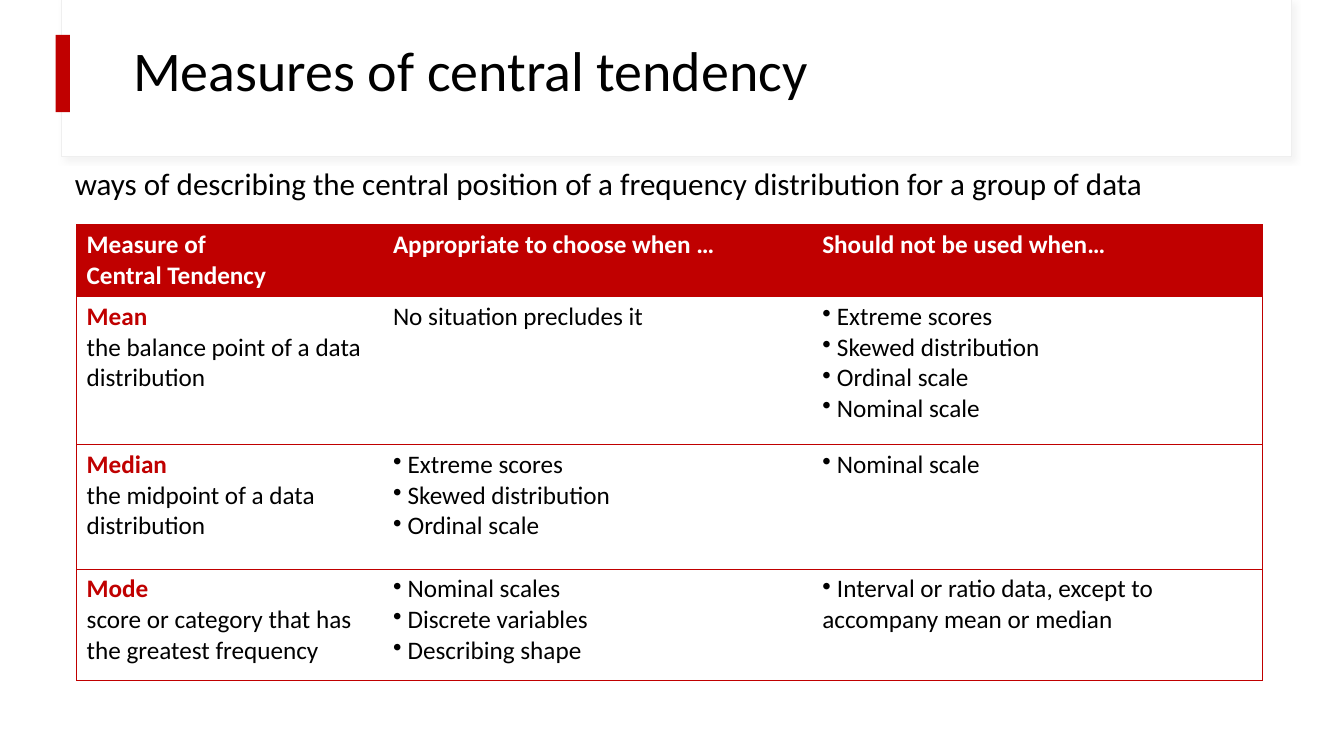
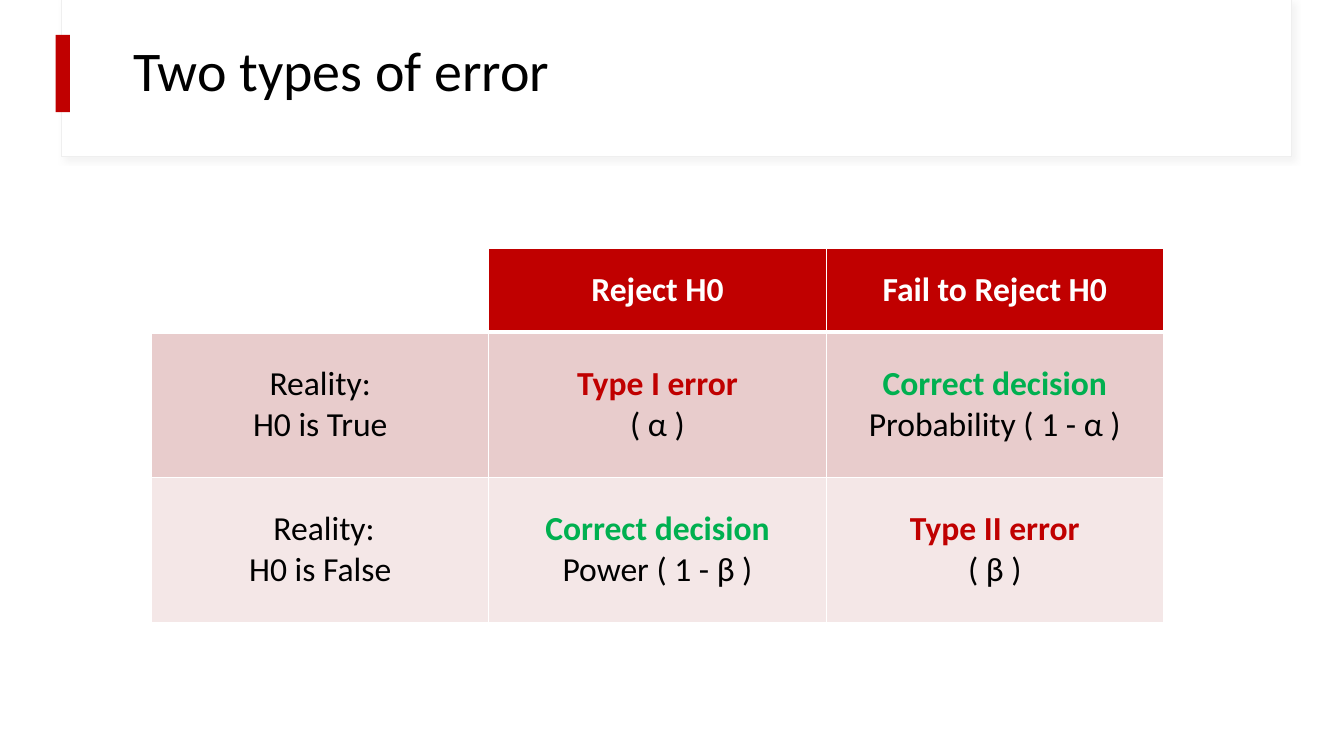
from dataclasses import dataclass

from lxml.etree import SubElement
from pptx import Presentation
from pptx.dml.color import RGBColor
from pptx.enum.shapes import MSO_SHAPE
from pptx.enum.text import MSO_ANCHOR, MSO_AUTO_SIZE, PP_ALIGN
from pptx.oxml.ns import qn
from pptx.util import Cm, Pt


@dataclass(frozen=True)
class Theme:
    font: str = "Calibri"
    black: str = "000000"
    white: str = "FFFFFF"
    red: str = "C00000"
    green: str = "00B050"
    rose: str = "E8CCCC"
    pale_rose: str = "F4E7E7"
    band_line: str = "EFEFEF"
    band_shadow: str = "D9D9D9"
    title_size: float = 40
    lead_size: float = 22.2
    list_size: float = 18
    grid_size: float = 24
    plain_table_style: str = "{2D5ABB26-0587-4C30-8999-92F81FD0307C}"


THEME = Theme()
ROLES = {
    "header": {"color": THEME.white, "bold": True},
    "plain": {"color": THEME.black, "bold": False},
    "bullet": {"color": THEME.black, "bold": False},
    "red": {"color": THEME.red, "bold": True},
    "green": {"color": THEME.green, "bold": True},
}
SIDES = {"left": "a:lnL", "right": "a:lnR", "top": "a:lnT", "bottom": "a:lnB"}


def apply_format(target, values):
    for name, value in values.items():
        setattr(target, name, value)


def add_solid_color(parent, color):
    fill = SubElement(parent, qn("a:solidFill"))
    return SubElement(fill, qn("a:srgbClr"), val=color)


class Deck:
    def __init__(self, theme):
        self.theme = theme
        self.presentation = Presentation()
        apply_format(self.presentation, {
            "slide_width": Cm(33.87), "slide_height": Cm(19.05)})
        self.slide = None

    def add_slide(self, layout_index, title):
        layout = self.presentation.slide_layouts[layout_index]
        self.slide = self.presentation.slides.add_slide(layout)
        self.fill_placeholder(
            self.slide.shapes.title, title, (3.1, 0.2, 28.24, 3.28),
            self.theme.title_size, 0.9, MSO_ANCHOR.MIDDLE)

    def fill_placeholder(self, shape, text, box, size, spacing, anchor):
        names = ("left", "top", "width", "height")
        apply_format(shape, dict(zip(names, map(Cm, box))))
        apply_format(shape.text_frame, {
            "text": text, "word_wrap": True, "vertical_anchor": anchor,
            "auto_size": MSO_AUTO_SIZE.NONE})
        paragraph = shape.text_frame.paragraphs[0]
        apply_format(paragraph, {
            "alignment": PP_ALIGN.LEFT, "line_spacing": spacing,
            "space_before": Pt(0)})
        self.set_bullet(paragraph, None)
        self.style_runs(paragraph, size, "plain")

    def add_lead(self, text):
        self.fill_placeholder(
            self.slide.placeholders[1], text, (1.63, 3.91, 30.63, 1.68),
            self.theme.lead_size, 1.1, MSO_ANCHOR.TOP)

    def set_bullet(self, paragraph, character):
        properties = paragraph._p.get_or_add_pPr()
        apply_attributes = {"marL": "0", "indent": "0"}
        properties.attrib.update(apply_attributes)
        if character:
            SubElement(properties, qn("a:buChar"), char=character)
        else:
            SubElement(properties, qn("a:buNone"))

    def style_runs(self, paragraph, size, role):
        for run in paragraph.runs:
            apply_format(run.font, {
                "name": self.theme.font, "size": Pt(size),
                "bold": ROLES[role]["bold"]})
            run.font.color.rgb = RGBColor.from_string(ROLES[role]["color"])

    def add_rectangle(self, box, fill, line=None):
        shape = self.slide.shapes.add_shape(MSO_SHAPE.RECTANGLE, *map(Cm, box))
        shape.shadow.inherit = False
        shape.fill.solid()
        shape.fill.fore_color.rgb = RGBColor.from_string(fill)
        if line:
            shape.line.color.rgb = RGBColor.from_string(line)
            shape.line.width = Pt(0.75)
        else:
            shape.line.fill.background()
        return shape

    def add_master_band(self):
        band = self.add_rectangle(
            (1.55, 0, 31.01, 3.94), self.theme.white, self.theme.band_line)
        effects = band._element.spPr.find(qn("a:effectLst"))
        shadow = SubElement(
            effects, qn("a:outerShdw"), blurRad=str(Pt(4)), dist=str(Pt(3)),
            dir=str(45 * 60000), algn="tl", rotWithShape="0")
        color = SubElement(
            shadow, qn("a:srgbClr"), val=self.theme.band_shadow)
        SubElement(color, qn("a:alpha"), val="30000")
        marker = self.add_rectangle((1.4, 0.88, 0.36, 1.95), self.theme.red)
        tree = self.presentation.slide_master.shapes._spTree
        for offset, shape in enumerate((band, marker)):
            shape._element.nvSpPr.cNvPr.set("id", str(100 + offset))
            tree.insert(2 + offset, shape._element)

    def add_table(self, left, top, columns, rows, contents, style_cell,
                  size, anchor, alignment):
        frame = self.slide.shapes.add_table(
            len(rows), len(columns), Cm(left), Cm(top),
            Cm(sum(columns)), Cm(sum(rows)))
        table = frame.table
        style = table._tbl.tblPr.find(qn("a:tableStyleId"))
        style.text = self.theme.plain_table_style
        for column, width in zip(table.columns, columns):
            column.width = Cm(width)
        for row, height in zip(table.rows, rows):
            row.height = Cm(height)
        for row_index, row in enumerate(contents):
            for column_index, lines in enumerate(row):
                cell = table.cell(row_index, column_index)
                cell.vertical_anchor = anchor
                self.write_cell(cell, lines, size, alignment)
                borders, fill = style_cell(row_index, column_index)
                self.paint_cell(cell, borders, fill)

    def write_cell(self, cell, lines, size, alignment):
        text_frame = cell.text_frame
        for index, (role, text) in enumerate(lines):
            paragraph = (text_frame.add_paragraph() if index
                         else text_frame.paragraphs[0])
            paragraph.alignment = alignment
            if role == "bullet":
                self.set_bullet(paragraph, "•")
                text = f" {text}"
            paragraph.text = text
            self.style_runs(paragraph, size, role)

    def paint_cell(self, cell, borders, fill):
        properties = cell._tc.get_or_add_tcPr()
        for side, tag in SIDES.items():
            color, width = borders.get(side, (None, 0))
            line = SubElement(properties, qn(tag), w=str(Pt(width)))
            if color:
                add_solid_color(line, color)
            else:
                SubElement(line, qn("a:noFill"))
        if fill:
            cell.fill.solid()
            cell.fill.fore_color.rgb = RGBColor.from_string(fill)
        else:
            cell.fill.background()


def style_measures(row, column):
    rule = (THEME.red, 0.5)
    borders = {"top": rule, "bottom": rule}
    if column == 0:
        borders["left"] = rule
    if column == 2:
        borders["right"] = rule
    return borders, THEME.red if row == 0 else None


def style_errors(row, column):
    borders = dict.fromkeys(SIDES, (THEME.white, 1))
    if row < 2:
        borders["top" if row else "bottom"] = (THEME.white, 3)
    fill = (THEME.red, THEME.rose, THEME.pale_rose)[row]
    return borders, None if row == column == 0 else fill


def bullets(*texts):
    return [("bullet", text) for text in texts]


def outcome(role, heading, detail):
    return [(role, heading), ("plain", detail)]


MEASURES = [
    [[("header", "Measure of\vCentral Tendency")],
     [("header", "Appropriate to choose when …")],
     [("header", "Should not be used when…")]],
    [outcome("red", "Mean", "the balance point of a data distribution"),
     [("plain", "No situation precludes it")],
     bullets("Extreme scores", "Skewed distribution", "Ordinal scale",
             "Nominal scale")],
    [outcome("red", "Median", "the midpoint of a data distribution"),
     bullets("Extreme scores", "Skewed distribution", "Ordinal scale"),
     bullets("Nominal scale")],
    [outcome("red", "Mode", "score or category that has the greatest frequency"),
     bullets("Nominal scales", "Discrete variables", "Describing shape"),
     bullets("Interval or ratio data, except to accompany mean or median")],
]

ERRORS = [
    [[], [("header", "Reject H0")], [("header", "Fail to Reject H0")]],
    [outcome("plain", "Reality:", "H0 is True"),
     outcome("red", "Type I error", "( α )"),
     outcome("green", "Correct decision", "Probability ( 1 - α )")],
    [outcome("plain", " Reality:", "H0 is False"),
     outcome("green", "Correct decision", "Power ( 1 - β )"),
     outcome("red", "Type II error", "( β )")],
]


def main():
    deck = Deck(THEME)
    deck.add_slide(1, "Measures of central tendency")
    deck.add_master_band()
    deck.add_lead("ways of describing the central position of a frequency "
                  "distribution for a group of data")
    deck.add_table(1.93, 5.66, (7.72, 10.82, 11.35), (1.8, 3.73, 3.14, 2.82),
                   MEASURES, style_measures, THEME.list_size,
                   MSO_ANCHOR.TOP, PP_ALIGN.LEFT)
    deck.add_slide(5, "Two types of error")
    deck.add_table(3.82, 6.27, (8.5,) * 3, (2.1, 3.66, 3.66),
                   ERRORS, style_errors, THEME.grid_size,
                   MSO_ANCHOR.MIDDLE, PP_ALIGN.CENTER)
    deck.presentation.save("out.pptx")


if __name__ == "__main__":
    main()
